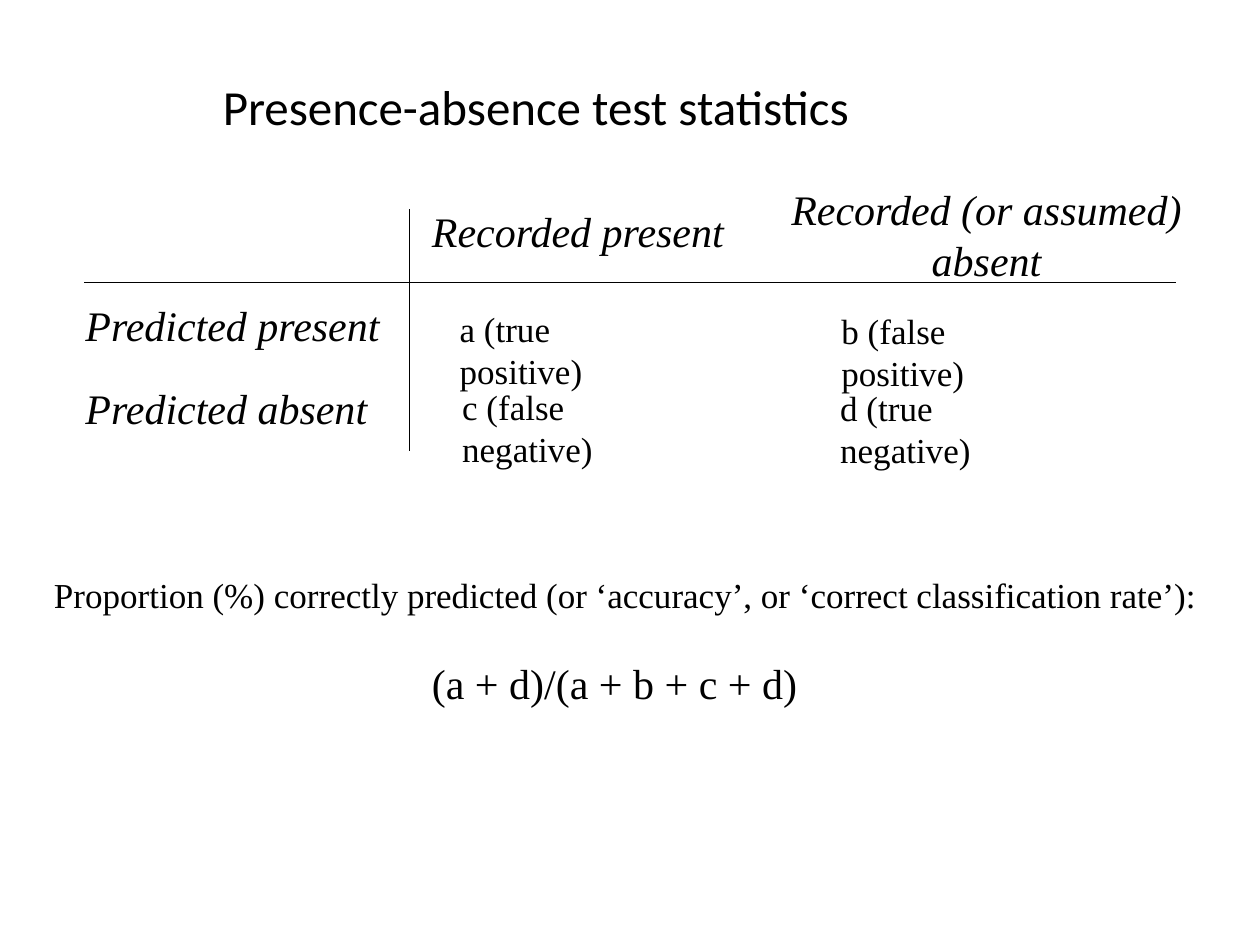
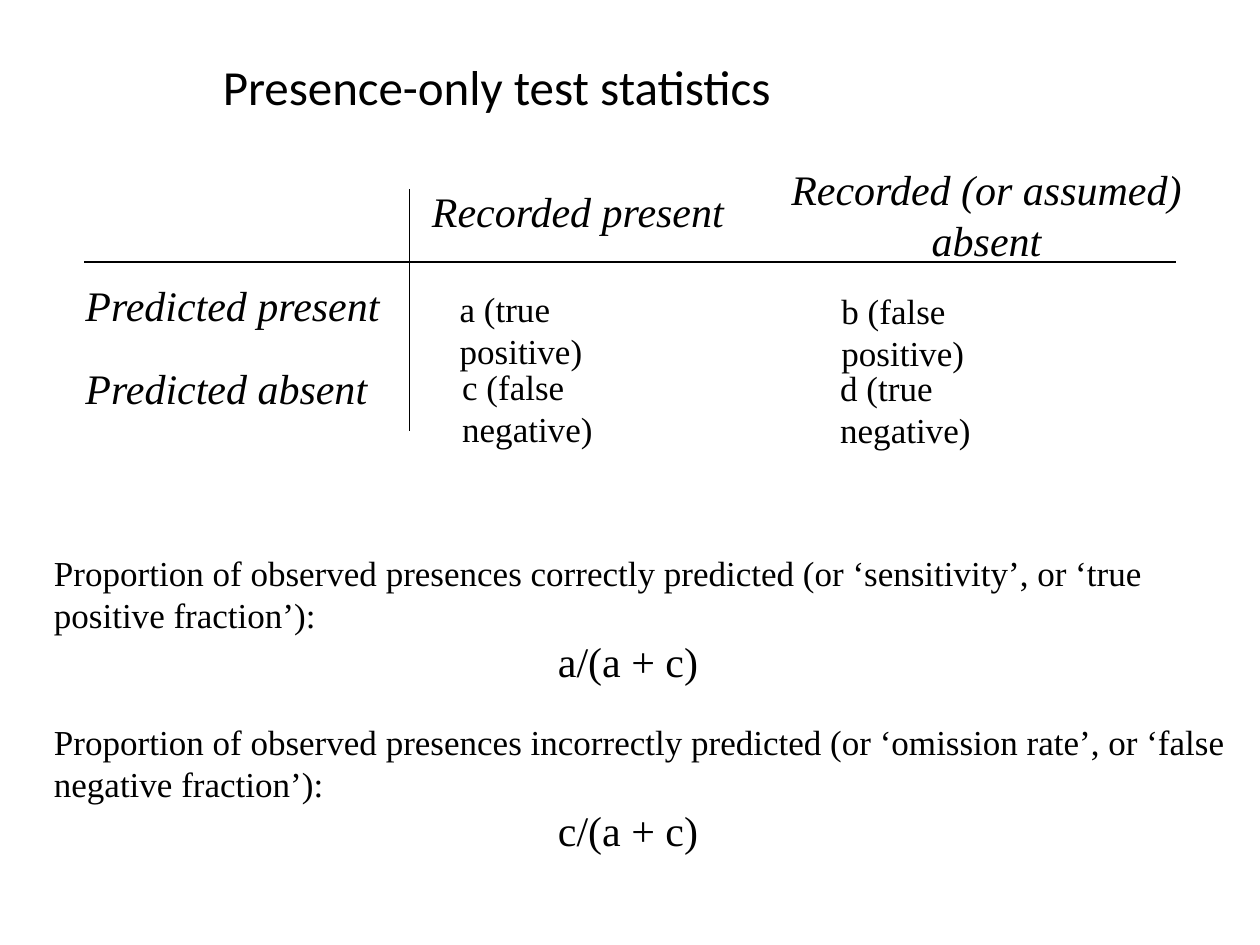
from lxml import etree
from pptx import Presentation
from pptx.dml.color import RGBColor
from pptx.enum import shapes, text
from pptx.oxml.ns import qn
from pptx.util import Inches, Pt

SERIF = "Times New Roman"
SANS = "Calibri"
BLACK = "000000"
LABEL = dict(size=24, italic=True)
TABLE_LEFT = 0.58

# Text, left, top and width relative to the matrix corner
AXIS_LABELS = [
    ("Predicted present", 0, 0.92, 2.56),
    ("Predicted absent", 0, 1.58, 2.45),
    ("Recorded present", 2.75, 0.17, 2.54),
]
CELLS = [
    ("a (true positive)", 2.97, 0.98),
    ("c (false negative)", 2.99, 1.6),
    ("b (false positive)", 6, 1),
    ("d (true negative)", 5.99, 1.61),
]
CELL_WIDTH = 1.9


def rgb(value):
    return RGBColor.from_string(value)


def add_paragraph(tf, content, first=False, size=20, font=SERIF, color=BLACK,
                  italic=False, align=None, before=0, indent=0, spacing=None):
    p = tf.paragraphs[0] if first else tf.add_paragraph()
    if indent:
        p._p.get_or_add_pPr().set("marL", str(Inches(indent)))
    if before:
        p.space_before = Pt(before)
    if spacing:
        p.line_spacing = spacing
    if align is not None:
        p.alignment = align
    r = p.add_run()
    r.text = content
    r.font.size = Pt(size)
    r.font.name = font
    r.font.italic = italic
    r.font.color.rgb = rgb(color)


def add_text(slide, content, left, top, width, height, wrap=True,
             anchor=text.MSO_ANCHOR.TOP, **style):
    box = slide.shapes.add_textbox(
        Inches(left), Inches(top), Inches(width), Inches(height))
    tf = box.text_frame
    tf.word_wrap = wrap
    tf.vertical_anchor = anchor
    add_paragraph(tf, content, first=True, **style)
    return tf


def add_line(slide, x1, y1, x2, y2):
    line = slide.shapes.add_connector(
        shapes.MSO_CONNECTOR.STRAIGHT,
        Inches(x1), Inches(y1), Inches(x2), Inches(y2))
    line.line.color.rgb = rgb(BLACK)
    line.line.width = Pt(0.75)
    etree.SubElement(line._element.spPr, qn("a:effectLst"))


def add_title(slide, title, top):
    add_text(slide, title, 1.67, top, 6.67, 0.58, size=28, font=SANS,
             spacing=0.9, anchor=text.MSO_ANCHOR.MIDDLE)


def add_confusion_matrix(slide, left, top):
    for label, x, y, width in AXIS_LABELS:
        add_text(slide, label, left + x, top + y, width, 0.5, wrap=False, **LABEL)
    add_text(slide, "Recorded (or assumed) absent", left + 5.5, top, 3.5, 0.9,
             align=text.PP_ALIGN.CENTER, **LABEL)
    add_line(slide, left + 0.09, top + 0.83, left + 8.75, top + 0.83)
    add_line(slide, left + 2.67, top + 0.25, left + 2.67, top + 2.17)
    for cell, x, y in CELLS:
        add_text(slide, cell, left + x, top + y, CELL_WIDTH, 0.43)


def add_statistic(slide, top, definition, formula, indent, before=0):
    tf = add_text(slide, definition, 0.33, top, 9.5, 1.17)
    add_paragraph(tf, formula, size=24, indent=indent, before=before)


def add_statistics_slide(prs, title, top):
    slide = prs.slides.add_slide(prs.slide_layouts[6])
    add_title(slide, title, top)
    add_confusion_matrix(slide, TABLE_LEFT, top + 0.83)
    return slide


def main():
    prs = Presentation()
    prs.slide_width, prs.slide_height = Inches(10), Inches(7.5)

    s = add_statistics_slide(prs, "Presence-absence test statistics", 0.58)
    add_statistic(
        s, 4.5,
        "Proportion (%) correctly predicted (or ‘accuracy’, "
        "or ‘correct classification rate’):",
        "(a + d)/(a + b + c + d)", indent=3, before=24)

    s = add_statistics_slide(prs, "Presence-only test statistics", 0.42)
    add_statistic(
        s, 4.33,
        "Proportion of observed presences correctly predicted "
        "(or ‘sensitivity’, or ‘true positive fraction’):",
        "a/(a + c)", indent=4)
    add_statistic(
        s, 5.67,
        "Proportion of observed presences incorrectly predicted "
        "(or ‘omission rate’, or ‘false negative fraction’):",
        "c/(a + c)", indent=4)

    prs.save("out.pptx")


if __name__ == "__main__":
    main()
